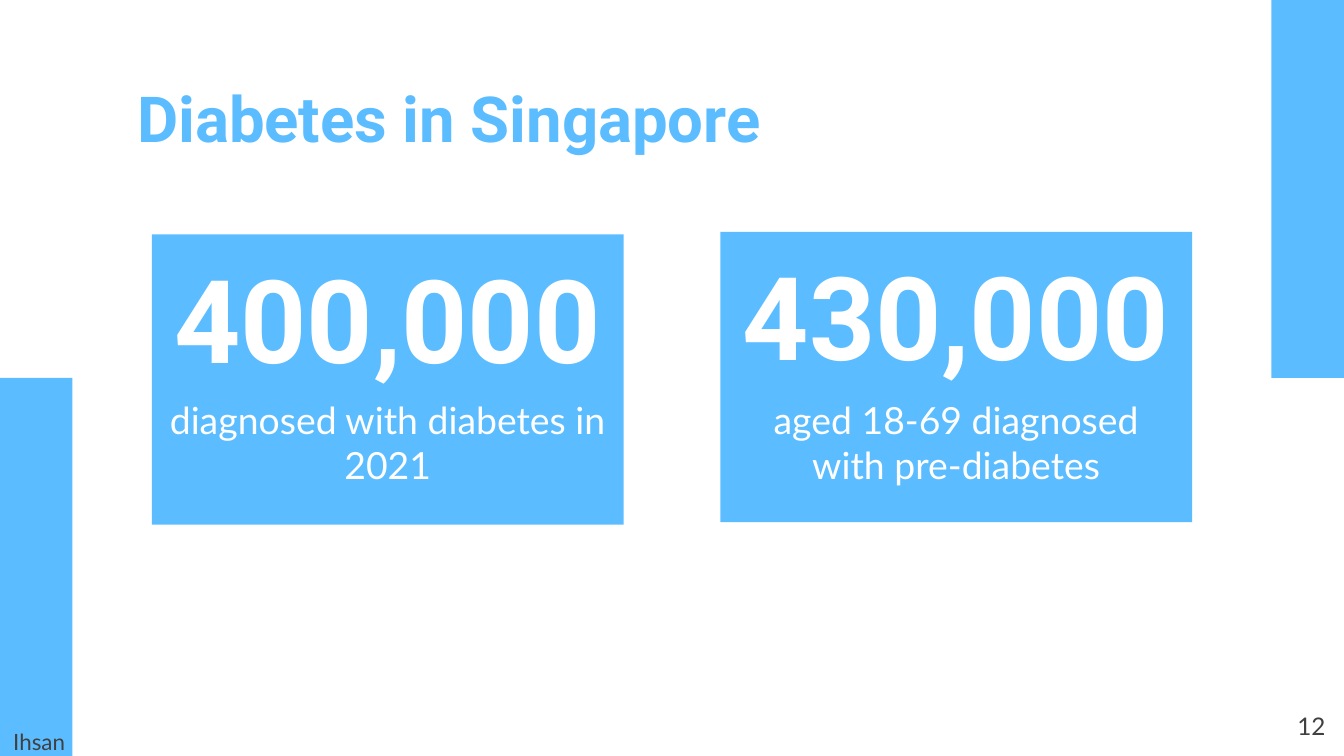
from typing import NamedTuple

from pptx import Presentation
from pptx.dml.color import RGBColor
from pptx.enum.shapes import MSO_SHAPE
from pptx.enum.text import MSO_ANCHOR, MSO_AUTO_SIZE, PP_ALIGN
from pptx.util import Emu, Inches, Pt

WIDE = Inches(10)
HIGH = Emu(WIDE * 9 // 16)
CELL = WIDE / 100
ROWS = HIGH / CELL
BLUE, WHITE, GREY = "5BBDFF", "FFFFFF", "404040"


class Box(NamedTuple):
    col: float
    row: float
    cols: float
    rows: float


class Type(NamedTuple):
    font: str
    size: float
    color: str
    bold: bool = False
    align: PP_ALIGN = PP_ALIGN.LEFT
    anchor: MSO_ANCHOR = MSO_ANCHOR.TOP
    line: float = 1.0


class Card(NamedTuple):
    col: float
    row: float
    count: str
    note: str


HEAD = Type("Roboto", 34, BLUE, True, line=0.9)
COUNT = Type("Roboto", 62, WHITE, True, PP_ALIGN.CENTER)
NOTE = Type("Lato", 20, WHITE, False, PP_ALIGN.CENTER, MSO_ANCHOR.MIDDLE)
PAGE = Type("Lato", 13, GREY, align=PP_ALIGN.RIGHT)
NAME = Type("Lato", 12, GREY, anchor=MSO_ANCHOR.MIDDLE, line=1.15)

BAND = 5.4
BANDS = [
    Box(100 - BAND, 0, BAND, ROWS / 2),
    Box(0, ROWS / 2, BAND, ROWS / 2),
]
CARDS = [
    Card(11.3, 17.45, "400,000", "diagnosed with diabetes in 2021"),
    Card(53.6, 17.25, "430,000", "aged 18-69 diagnosed with pre-diabetes"),
]


def tint(code: str) -> RGBColor:
    return RGBColor.from_string(code)


def spot(box: Box) -> list[Emu]:
    return [Emu(round(n * CELL)) for n in box]


def write(shape, text: str, kind: Type) -> None:
    frame = shape.text_frame
    frame.word_wrap = True
    frame.auto_size = MSO_AUTO_SIZE.NONE
    frame.vertical_anchor = kind.anchor
    frame.margin_left = frame.margin_right = Inches(0.1)
    frame.margin_top = frame.margin_bottom = Inches(0.1)
    para = frame.paragraphs[0]
    para.alignment = kind.align
    para.line_spacing = kind.line
    run = para.add_run()
    run.text = text
    run.font.name = kind.font
    run.font.size = Pt(kind.size)
    run.font.bold = kind.bold
    run.font.color.rgb = tint(kind.color)


def block(slide, box: Box):
    shape = slide.shapes.add_shape(MSO_SHAPE.RECTANGLE, *spot(box))
    shape.shadow.inherit = False
    shape.fill.solid()
    shape.fill.fore_color.rgb = tint(BLUE)
    shape.line.fill.background()
    return shape


def label(slide, box: Box, text: str, kind: Type) -> None:
    write(slide.shapes.add_textbox(*spot(box)), text, kind)


def title(slide, box: Box, text: str) -> None:
    shape = slide.shapes.title
    shape.left, shape.top, shape.width, shape.height = spot(box)
    write(shape, text, HEAD)


def panel(slide, card: Card) -> None:
    write(block(slide, Box(card.col, card.row, 35.1, 21.6)), card.count, COUNT)
    label(slide, Box(card.col, 30.6, 35.1, 4.6), card.note, NOTE)


def main() -> None:
    deck = Presentation()
    deck.slide_width, deck.slide_height = WIDE, HIGH
    slide = deck.slides.add_slide(deck.slide_layouts.get_by_name("Title Only"))
    title(slide, Box(9.2, 5.5, 81.6, 7.4), "Diabetes in Singapore")
    for band in BANDS:
        block(slide, band)
    for card in CARDS:
        panel(slide, card)
    label(slide, Box(93.6, ROWS - 4.3, 6, 4.3), "12", PAGE)
    label(slide, Box(0, ROWS - 2.5, 27.9, 2.5), "Ihsan", NAME)
    deck.save("out.pptx")


if __name__ == "__main__":
    main()
